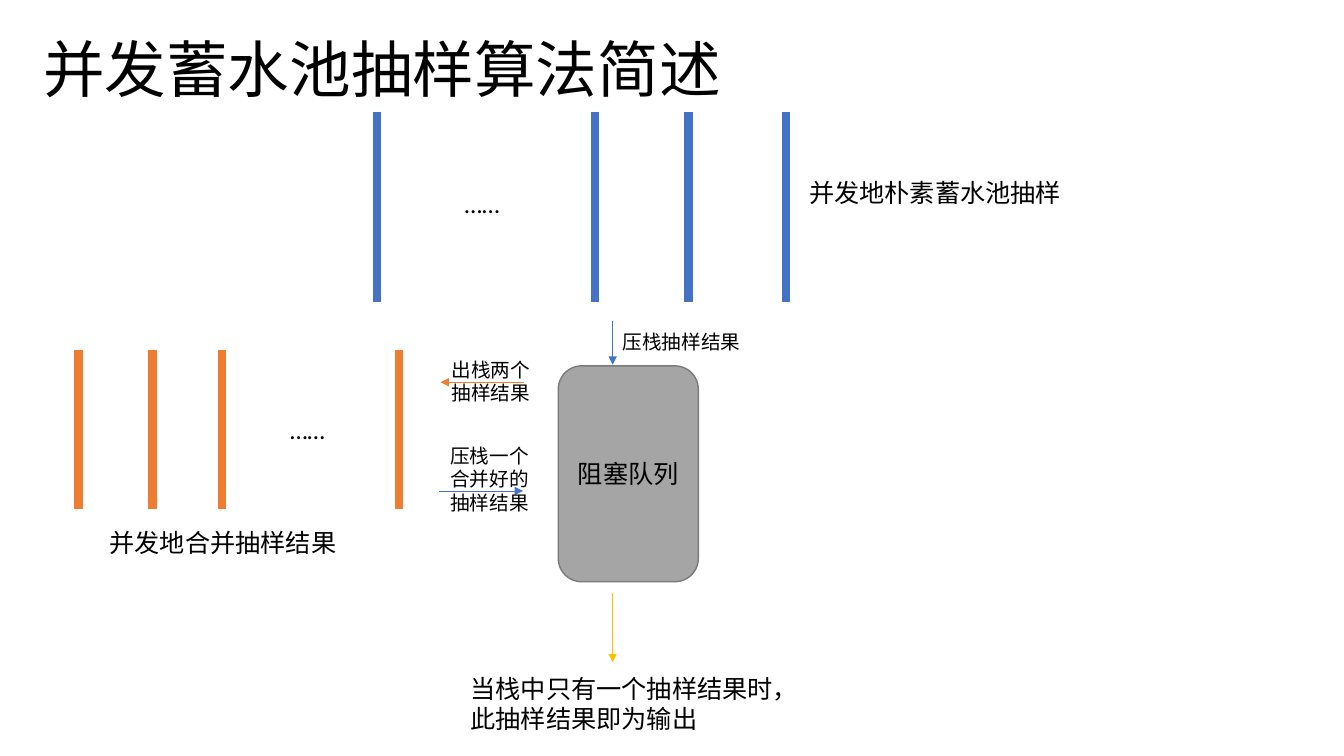
from dataclasses import dataclass

from lxml.etree import SubElement
from pptx import Presentation
from pptx.dml.color import RGBColor
from pptx.enum.shapes import MSO_CONNECTOR as Line, MSO_SHAPE as Shape
from pptx.enum.text import MSO_ANCHOR as Anchor, PP_ALIGN as Align
from pptx.oxml.ns import qn
from pptx.util import Cm, Pt


@dataclass(frozen=True)
class Theme:
    font: str = "Calibri"
    text: str = "000000"
    sample: str = "4472C4"
    merge: str = "ED7D31"
    output: str = "FFC000"
    queue: str = "A5A5A5"
    queue_edge: str = "7A7A7A"
    title_size: float = 44
    label_size: float = 18
    note_size: float = 14
    thread_width: float = 6
    arrow_width: float = 0.5


THEME = Theme()


def rgb(value):
    return RGBColor.from_string(value)


def write_text(tf, text, size, align=Align.LEFT, anchor=Anchor.TOP, spacing=None):
    tf.word_wrap = True
    tf.vertical_anchor = anchor
    tf.text = text
    for p in tf.paragraphs:
        p.alignment = align
        p.line_spacing = spacing
        for r in p.runs:
            r.font.name = THEME.font
            r.font.size = Pt(size)
            r.font.color.rgb = rgb(THEME.text)


def add_label(shapes, text, left, top, width, height, size=THEME.label_size, **style):
    sp = shapes.add_textbox(Cm(left), Cm(top), Cm(width), Cm(height))
    write_text(sp.text_frame, text, size, **style)


def add_line(shapes, start, end, color, width):
    line = shapes.add_connector(Line.STRAIGHT, *map(Cm, start + end))
    line.line.color.rgb = rgb(color)
    line.line.width = Pt(width)
    SubElement(line._element.spPr, qn("a:effectLst"))
    return line


def add_threads(shapes, xs, top, bottom, color):
    for x in xs:
        add_line(shapes, (x, top), (x, bottom), color, THEME.thread_width)


def add_arrow(shapes, start, end, color):
    arrow = add_line(shapes, start, end, color, THEME.arrow_width)
    SubElement(arrow.line._get_or_add_ln(), qn("a:tailEnd"), type="triangle")


def add_queue(shapes, text, left, top, width, height):
    sp = shapes.add_shape(Shape.ROUNDED_RECTANGLE, Cm(left), Cm(top), Cm(width), Cm(height))
    sp.shadow.inherit = False
    sp.fill.solid()
    sp.fill.fore_color.rgb = rgb(THEME.queue)
    sp.line.color.rgb = rgb(THEME.queue_edge)
    sp.line.width = Pt(1)
    write_text(sp.text_frame, text, THEME.label_size, Align.CENTER, Anchor.MIDDLE)


def add_exchange(shapes, text, box, start, end, color):
    group = shapes.add_group_shape()
    add_arrow(group.shapes, start, end, color)
    add_label(group.shapes, text, *box, size=THEME.note_size)


def main():
    prs = Presentation()
    prs.slide_width, prs.slide_height = Cm(33.87), Cm(19.05)
    shapes = prs.slides.add_slide(prs.slide_layouts[6]).shapes

    add_label(shapes, "并发蓄水池抽样算法简述", 0.84, 0, 29.21, 3.68,
              size=THEME.title_size, anchor=Anchor.MIDDLE, spacing=0.9)

    add_threads(shapes, (9.5, 14.99, 17.35, 19.81), 2.82, 7.62, THEME.sample)
    add_label(shapes, "……", 11.46, 4.62, 3.53, 1.02)
    add_label(shapes, "并发地朴素蓄水池抽样", 20.14, 4.34, 9.58, 1.02)

    add_queue(shapes, "阻塞队列", 14.07, 9.22, 3.53, 5.44)

    add_threads(shapes, (1.98, 3.84, 5.59, 10.06), 8.81, 12.83, THEME.merge)
    add_label(shapes, "……", 7.06, 10.31, 3.53, 1.02)
    add_label(shapes, "并发地合并抽样结果", 2.51, 13.16, 7.16, 1.02)

    add_arrow(shapes, (15.44, 8.08), (15.44, 9.19), THEME.sample)
    add_label(shapes, "压栈抽样结果", 15.44, 8.2, 4.37, 0.86, size=THEME.note_size)
    add_arrow(shapes, (15.44, 14.94), (15.44, 16.69), THEME.output)
    add_label(shapes, "当栈中只有一个抽样结果时，\n此抽样结果即为输出", 11.61, 16.84, 8.53, 1.8)

    add_exchange(shapes, "出栈两个抽样结果", (11.13, 8.89, 2.49, 1.45),
                 (13.21, 9.63), (11.1, 9.63), THEME.merge)
    add_exchange(shapes, "压栈一个合并好的抽样结果", (11.1, 11.05, 2.67, 2.06),
                 (11.07, 12.37), (13.18, 12.37), THEME.sample)

    prs.save("out.pptx")


if __name__ == "__main__":
    main()
